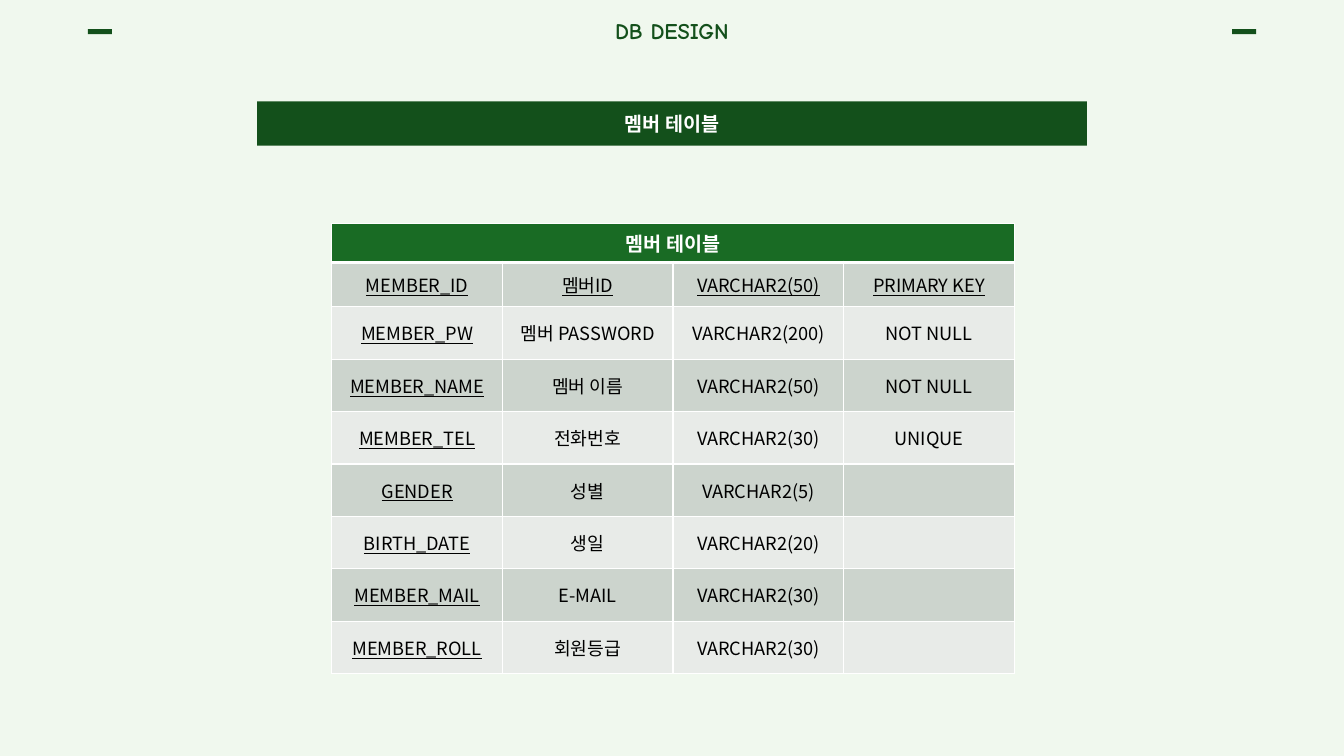
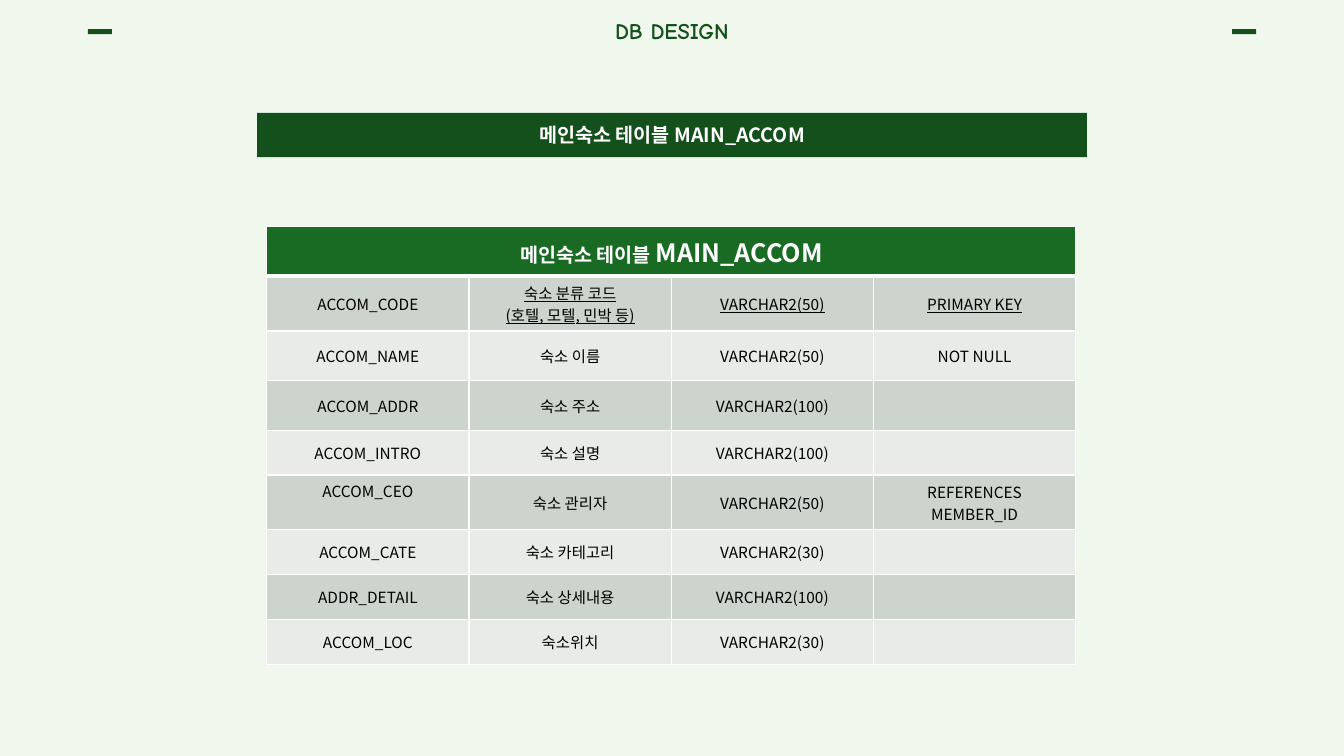
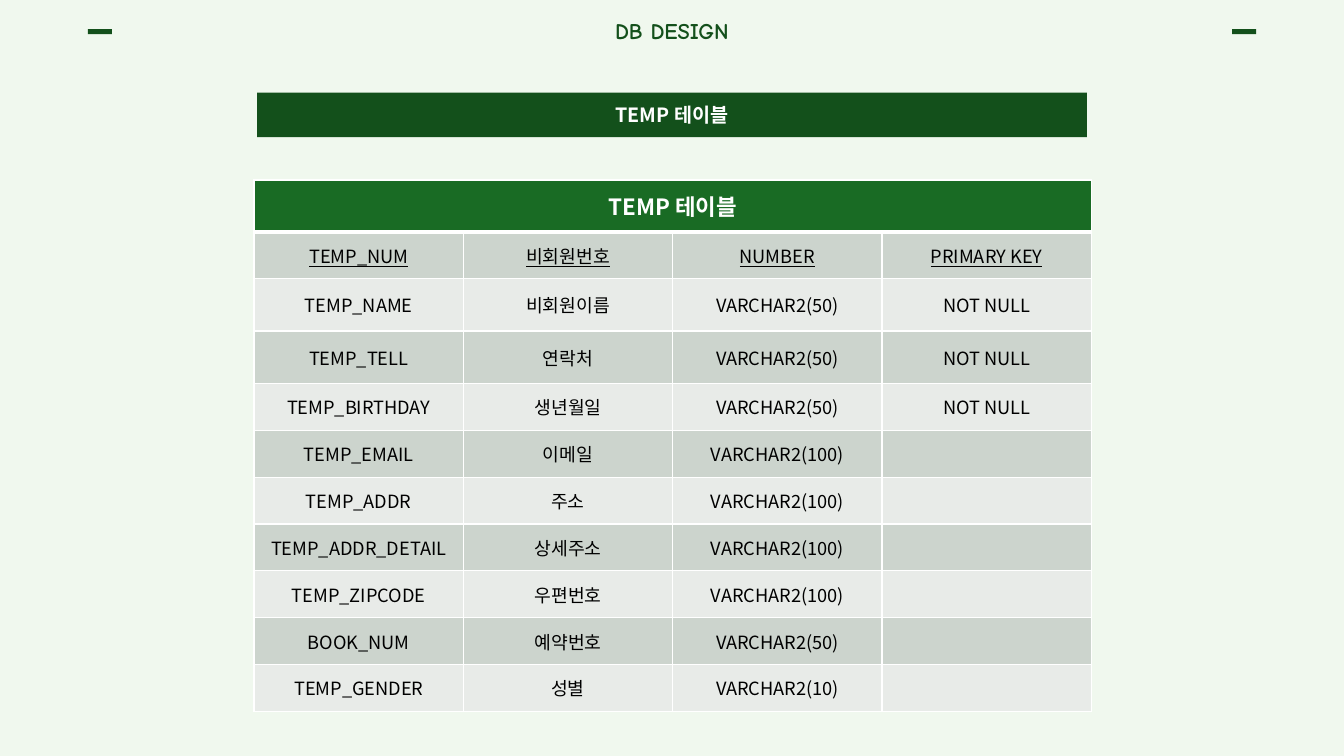
import pptx
import pptx.dml.color
import pptx.enum.shapes
import pptx.enum.text
import pptx.oxml.ns
import pptx.util
import lxml.etree

WIDE = pptx.util.Inches(13.33)
HIGH = pptx.util.Inches(7.5)
PAGE, DARK, GREEN = "F0F8EE", "13501B", "196B24"
WHITE, BLACK = "FFFFFF", "000000"
ROWS = ["CCD4CD", "E8EBE8"]
SANS, COMIC = "Noto Sans CJK KR", "Comic Neue"
MID = pptx.enum.text.MSO_ANCHOR.MIDDLE
TOP = pptx.enum.text.MSO_ANCHOR.TOP


def hue(code):
    return pptx.dml.color.RGBColor.from_string(code)


def across(share):
    return round(WIDE * share / 100)


def down(share):
    return round(HIGH * share / 100)


def area(left, top, width, height):
    return across(left), down(top), across(width), down(height)


def tag(node, name, **attrs):
    return lxml.etree.SubElement(node, pptx.oxml.ns.qn(name), **attrs)


def paint(shape, code):
    shape.fill.solid()
    shape.fill.fore_color.rgb = hue(code)


def write(frame, text, size=13, color=BLACK, bold=False, under=False,
          face=SANS, tail=None):
    frame.word_wrap = True
    for spot, line in enumerate(text.split("\n")):
        para = frame.add_paragraph() if spot else frame.paragraphs[0]
        para.alignment = pptx.enum.text.PP_ALIGN.CENTER
        parts = [(line, size)] + ([tail] if tail else [])
        for words, points in parts:
            run = para.add_run()
            run.text = words
            font = run.font
            font.size = pptx.util.Pt(points)
            font.bold = bold
            font.underline = under
            font.color.rgb = hue(color)
            font.name = face
            tag(run._r.get_or_add_rPr(), "a:ea", typeface=face)


def edge(cell, base=1):
    props = cell._tc.get_or_add_tcPr()
    for side, width in zip("LRTB", (1, 1, 1, base)):
        line = tag(props, "a:ln" + side, w=str(pptx.util.Pt(width)))
        tag(tag(line, "a:solidFill"), "a:srgbClr", val=WHITE)


def head(slide):
    for left in (6.53, 100 - 6.53 - 1.8):
        mark = slide.shapes.add_shape(
            pptx.enum.shapes.MSO_SHAPE.RECTANGLE, *area(left, 3.87, 1.8, 0.67))
        mark.shadow.inherit = False
        paint(mark, DARK)
        mark.line.fill.background()
    label = slide.shapes.add_textbox(*area(40.96, 1.6, 18.08, 4.93))
    label.text_frame.vertical_anchor = MID
    write(label.text_frame, "DB DESIGN", size=16, color=DARK, bold=True,
          face=COMIC)


def band(slide, text, top):
    title = slide.shapes.title
    title.left, title.top, title.width, title.height = area(
        19.13, top, 61.74, 5.87)
    paint(title, DARK)
    frame = title.text_frame
    frame.auto_size = pptx.enum.text.MSO_AUTO_SIZE.NONE
    frame.vertical_anchor = MID
    write(frame, text, size=14, color=WHITE, bold=True)


def grid(slide, box, title, rows, tall, size, under, high=()):
    left, top, width = box
    table = slide.shapes.add_table(
        len(rows) + 1, 4, *area(left, top, width, sum(tall))).table
    table.first_row = table.horz_banding = False
    for col in table.columns:
        col.width = across(width / 4)
    for row, share in zip(table.rows, tall):
        row.height = down(share)
    for cell in table.rows[0].cells:
        edge(cell, 3)
        paint(cell, GREEN)
    first = table.cell(0, 0)
    first.merge(table.cell(0, 3))
    first.vertical_anchor = MID
    write(first.text_frame, color=WHITE, bold=True, **title)
    for r, row in enumerate(rows, 1):
        for c in range(4):
            cell = table.cell(r, c)
            edge(cell)
            paint(cell, ROWS[(r - 1) % 2])
            cell.vertical_anchor = TOP if (r, c) in high else MID
            if c < len(row):
                write(cell.text_frame, row[c], size=size,
                      under=(r, c) in under)


KEYS = {(1, c) for c in range(4)}

MEMBER = [
    ("MEMBER_ID", "멤버ID", "VARCHAR2(50)", "PRIMARY KEY"),
    ("MEMBER_PW", "멤버 PASSWORD", "VARCHAR2(200)", "NOT NULL"),
    ("MEMBER_NAME", "멤버 이름", "VARCHAR2(50)", "NOT NULL"),
    ("MEMBER_TEL", "전화번호", "VARCHAR2(30)", "UNIQUE"),
    ("GENDER", "성별", "VARCHAR2(5)"),
    ("BIRTH_DATE", "생일", "VARCHAR2(20)"),
    ("MEMBER_MAIL", "E-MAIL", "VARCHAR2(30)"),
    ("MEMBER_ROLL", "회원등급", "VARCHAR2(30)"),
]
ACCOM = [
    ("ACCOM_CODE", "숙소 분류 코드\n(호텔, 모텔, 민박 등)", "VARCHAR2(50)",
     "PRIMARY KEY"),
    ("ACCOM_NAME", "숙소 이름", "VARCHAR2(50)", "NOT NULL"),
    ("ACCOM_ADDR", "숙소 주소", "VARCHAR2(100)"),
    ("ACCOM_INTRO", "숙소 설명", "VARCHAR2(100)"),
    ("ACCOM_CEO", "숙소 관리자", "VARCHAR2(50)", "REFERENCES\nMEMBER_ID"),
    ("ACCOM_CATE", "숙소 카테고리", "VARCHAR2(30)"),
    ("ADDR_DETAIL", "숙소 상세내용", "VARCHAR2(100)"),
    ("ACCOM_LOC", "숙소위치", "VARCHAR2(30)"),
]
TEMP = [
    ("TEMP_NUM", "비회원번호", "NUMBER", "PRIMARY KEY"),
    ("TEMP_NAME", "비회원이름", "VARCHAR2(50)", "NOT NULL"),
    ("TEMP_TELL", "연락처", "VARCHAR2(50)", "NOT NULL"),
    ("TEMP_BIRTHDAY", "생년월일", "VARCHAR2(50)", "NOT NULL"),
    ("TEMP_EMAIL", "이메일", "VARCHAR2(100)"),
    ("TEMP_ADDR", "주소", "VARCHAR2(100)"),
    ("TEMP_ADDR_DETAIL", "상세주소", "VARCHAR2(100)"),
    ("TEMP_ZIPCODE", "우편번호", "VARCHAR2(100)"),
    ("BOOK_NUM", "예약번호", "VARCHAR2(50)"),
    ("TEMP_GENDER", "성별", "VARCHAR2(10)"),
]

PAGES = [
    ("멤버 테이블", 13.4, dict(
        box=(24.68, 29.6, 50.8), title=dict(text="멤버 테이블", size=14),
        rows=MEMBER, tall=[5.07, 5.87] + [6.93] * 7, size=13,
        under=KEYS | {(r, 0) for r in range(1, 9)})),
    ("메인숙소 테이블 MAIN_ACCOM", 14.93, dict(
        box=(19.85, 30, 60.2),
        title=dict(text="메인숙소 테이블 ", size=14, tail=("MAIN_ACCOM", 18)),
        rows=ACCOM, tall=[6.53, 6.13, 6.6, 6.53, 5.93, 6.2] + [5.93] * 3,
        size=11, under=KEYS - {(1, 0)}, high={(5, 0)})),
    ("TEMP 테이블", 12.27, dict(
        box=(18.9, 23.8, 62.3), title=dict(text="TEMP 테이블", size=16),
        rows=TEMP, tall=[6.93, 6.13, 6.93, 6.93] + [6.2] * 7, size=13,
        under=KEYS)),
]


def main():
    deck = pptx.Presentation()
    deck.slide_width, deck.slide_height = WIDE, HIGH
    paint(deck.slide_master.background, PAGE)
    for title, top, parts in PAGES:
        slide = deck.slides.add_slide(deck.slide_layouts[5])
        band(slide, title, top)
        grid(slide, **parts)
        head(slide)
    deck.save("out.pptx")


if __name__ == "__main__":
    main()
